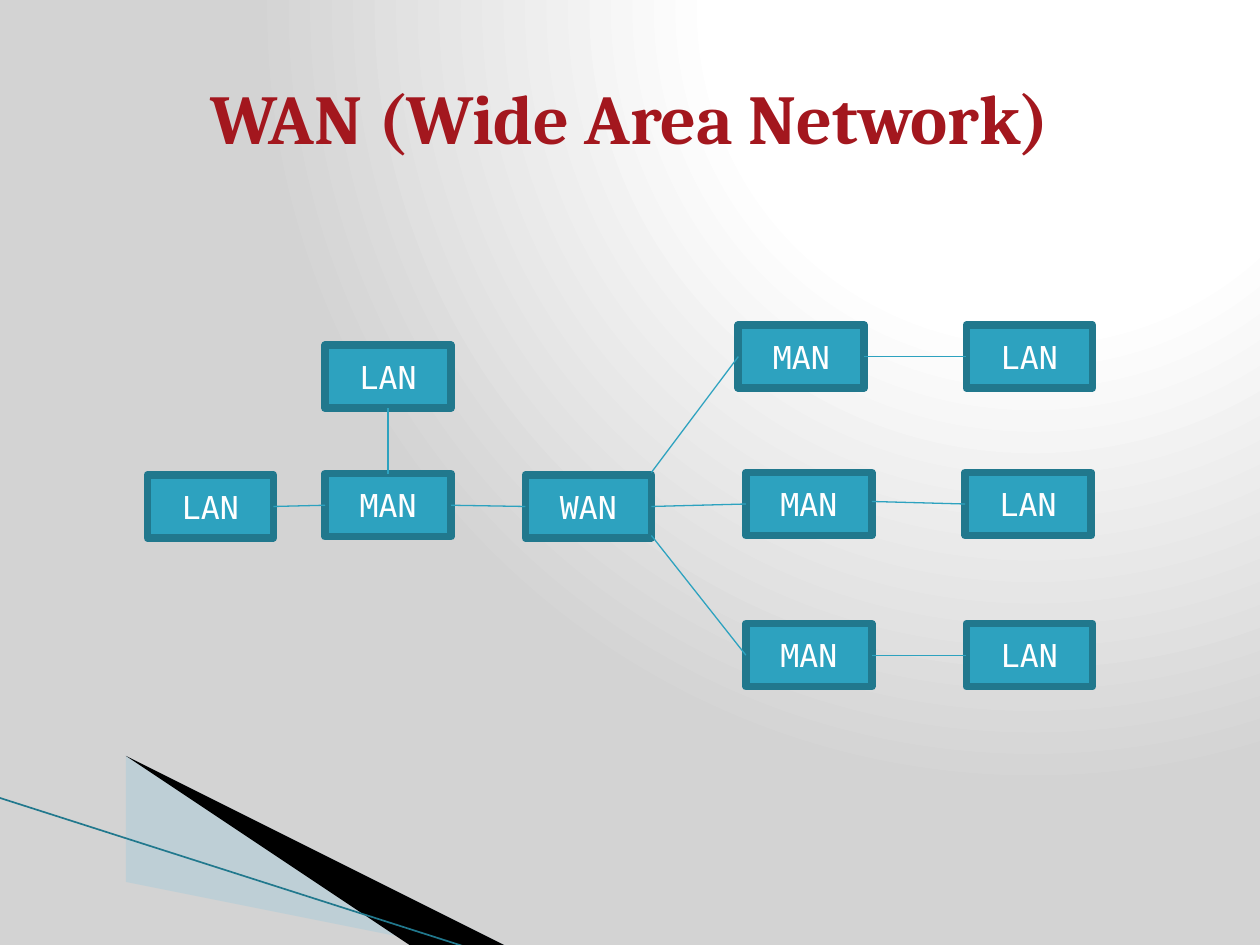
from dataclasses import dataclass

from pptx import Presentation
from pptx.dml.color import RGBColor
from pptx.enum import shapes, text
from pptx.oxml import parse_xml
from pptx.oxml.ns import nsdecls, qn
from pptx.slide import Slide
from pptx.util import Inches, Pt

BLACK = RGBColor(0x00, 0x00, 0x00)
WHITE = RGBColor(0xFF, 0xFF, 0xFF)
GREY = RGBColor(0xD3, 0xD3, 0xD3)
PALE_TEAL = RGBColor(0xA0, 0xCB, 0xDC)
TEAL = RGBColor(0x2D, 0xA2, 0xBF)
DARK_TEAL = RGBColor(0x21, 0x78, 0x8D)
RED = RGBColor(0xA3, 0x17, 0x1E)

NODE_WIDTH, NODE_HEIGHT = 1, 0.5
TOP, LEFT, BOTTOM, RIGHT = range(4)


@dataclass(frozen=True)
class Node:
    label: str
    left: float
    top: float


@dataclass(frozen=True)
class Link:
    source: Node
    exit_side: int
    target: Node
    entry_side: int
    exit_shift: float = 0


@dataclass(frozen=True)
class Wedge:
    points: tuple[tuple[float, float], ...]
    color: RGBColor
    opacity: int = 100


WEDGES = (
    Wedge(((0.55, 6.51), (5.95, 7.51), (4.56, 7.51), (0.55, 6.5)), PALE_TEAL, 40),
    Wedge(((0.53, 6.49), (4.57, 7.51), (3.72, 7.52), (0.54, 6.5)), BLACK),
)

UPPER_LAN = Node("LAN", 2.58, 2.74)
WEST_LAN = Node("LAN", 1.17, 3.77)
WEST_MAN = Node("MAN", 2.58, 3.76)
WAN = Node("WAN", 4.17, 3.77)
EAST_MANS = (Node("MAN", 5.86, 2.58), Node("MAN", 5.92, 3.75), Node("MAN", 5.92, 4.95))
EAST_LANS = (Node("LAN", 7.67, 2.58), Node("LAN", 7.66, 3.75), Node("LAN", 7.67, 4.95))
NODES = (UPPER_LAN, WEST_LAN, WEST_MAN, WAN, *EAST_MANS, *EAST_LANS)

LINKS = (
    Link(WEST_LAN, RIGHT, WEST_MAN, LEFT),
    Link(WEST_MAN, RIGHT, WAN, LEFT),
    Link(WEST_MAN, TOP, UPPER_LAN, BOTTOM),
    *(Link(WAN, RIGHT, man, LEFT, shift)
      for man, shift in zip(EAST_MANS, (-0.27, 0, 0.23))),
    *(Link(man, RIGHT, lan, LEFT, shift)
      for man, lan, shift in zip(EAST_MANS, EAST_LANS, (0, -0.02, 0))),
)


def paint_background(slide: Slide) -> None:
    slide.background.fill.gradient()
    gradient = slide.element.find(".//" + qn("a:gradFill"))
    stops = "".join(
        f'<a:gs pos="{position * 1000}"><a:srgbClr val="{color}"/></a:gs>'
        for position, color in ((0, WHITE), (40, WHITE), (100, GREY))
    )
    radial = parse_xml(
        f'<a:gradFill {nsdecls("a")} rotWithShape="1"><a:gsLst>{stops}</a:gsLst>'
        '<a:path path="circle"><a:fillToRect l="65000" t="0" r="0" b="98000"/>'
        "</a:path></a:gradFill>"
    )
    gradient.getparent().replace(gradient, radial)


def draw_wedge(slide: Slide, wedge: Wedge) -> None:
    start, *rest = wedge.points
    builder = slide.shapes.build_freeform(*start, scale=Inches(1))
    builder.add_line_segments(rest, close=True)
    shape = builder.convert_to_shape()
    shape.shadow.inherit = False
    shape.line.fill.background()
    shape.fill.solid()
    shape.fill.fore_color.rgb = wedge.color
    if wedge.opacity < 100:
        color = shape.fill._xPr.find(".//" + qn("a:srgbClr"))
        color.append(parse_xml(f'<a:alpha {nsdecls("a")} val="{wedge.opacity * 1000}"/>'))


def draw_line(slide: Slide, start: tuple[float, float], end: tuple[float, float],
              color: RGBColor, width: float):
    line = slide.shapes.add_connector(
        shapes.MSO_CONNECTOR.STRAIGHT, *(Inches(value) for value in (*start, *end))
    )
    line.line.color.rgb = color
    line.line.width = Pt(width)
    line._element.spPr.append(parse_xml(f'<a:effectLst {nsdecls("a")}/>'))
    return line


def write(frame, words: str, font_name: str, size: int, color: RGBColor,
          bold: bool = False) -> None:
    frame.word_wrap = True
    frame.vertical_anchor = text.MSO_ANCHOR.MIDDLE
    paragraph = frame.paragraphs[0]
    paragraph.text = words
    paragraph.alignment = text.PP_ALIGN.CENTER
    font = paragraph.font
    font.name, font.size, font.bold = font_name, Pt(size), bold
    font.color.rgb = color


def draw_node(slide: Slide, node: Node):
    box = slide.shapes.add_shape(
        shapes.MSO_SHAPE.RECTANGLE, Inches(node.left), Inches(node.top),
        Inches(NODE_WIDTH), Inches(NODE_HEIGHT),
    )
    box.shadow.inherit = False
    box.fill.solid()
    box.fill.fore_color.rgb = TEAL
    box.line.color.rgb = DARK_TEAL
    box.line.width = Pt(4.33)
    write(box.text_frame, node.label, "DejaVu Sans Mono", 18, WHITE)
    return box


def side_point(node: Node, side: int, shift: float = 0) -> tuple[float, float]:
    across, down = {TOP: (0.5, 0), LEFT: (0, 0.5), BOTTOM: (0.5, 1), RIGHT: (1, 0.5)}[side]
    return node.left + across * NODE_WIDTH, node.top + down * NODE_HEIGHT + shift


def draw_link(slide: Slide, link: Link, boxes: dict) -> None:
    line = draw_line(
        slide, side_point(link.source, link.exit_side, link.exit_shift),
        side_point(link.target, link.entry_side), TEAL, 0.75,
    )
    if not link.exit_shift:
        line.begin_connect(boxes[link.source], link.exit_side)
    line.end_connect(boxes[link.target], link.entry_side)


def main() -> None:
    deck = Presentation()
    deck.slide_width, deck.slide_height = Inches(10), Inches(7.5)
    slide = deck.slides.add_slide(deck.slide_layouts[6])
    paint_background(slide)
    for wedge in WEDGES:
        draw_wedge(slide, wedge)
    draw_line(slide, (-0.01, 6.33), (3.71, 7.52), DARK_TEAL, 0.95)

    title = slide.shapes.add_textbox(Inches(0.5), Inches(0.3), Inches(9), Inches(1.25))
    write(title.text_frame, "WAN (Wide Area Network)", "Cambria", 40, RED, bold=True)

    boxes = {node: draw_node(slide, node) for node in NODES}
    for link in LINKS:
        draw_link(slide, link, boxes)
    deck.save("out.pptx")


if __name__ == "__main__":
    main()
